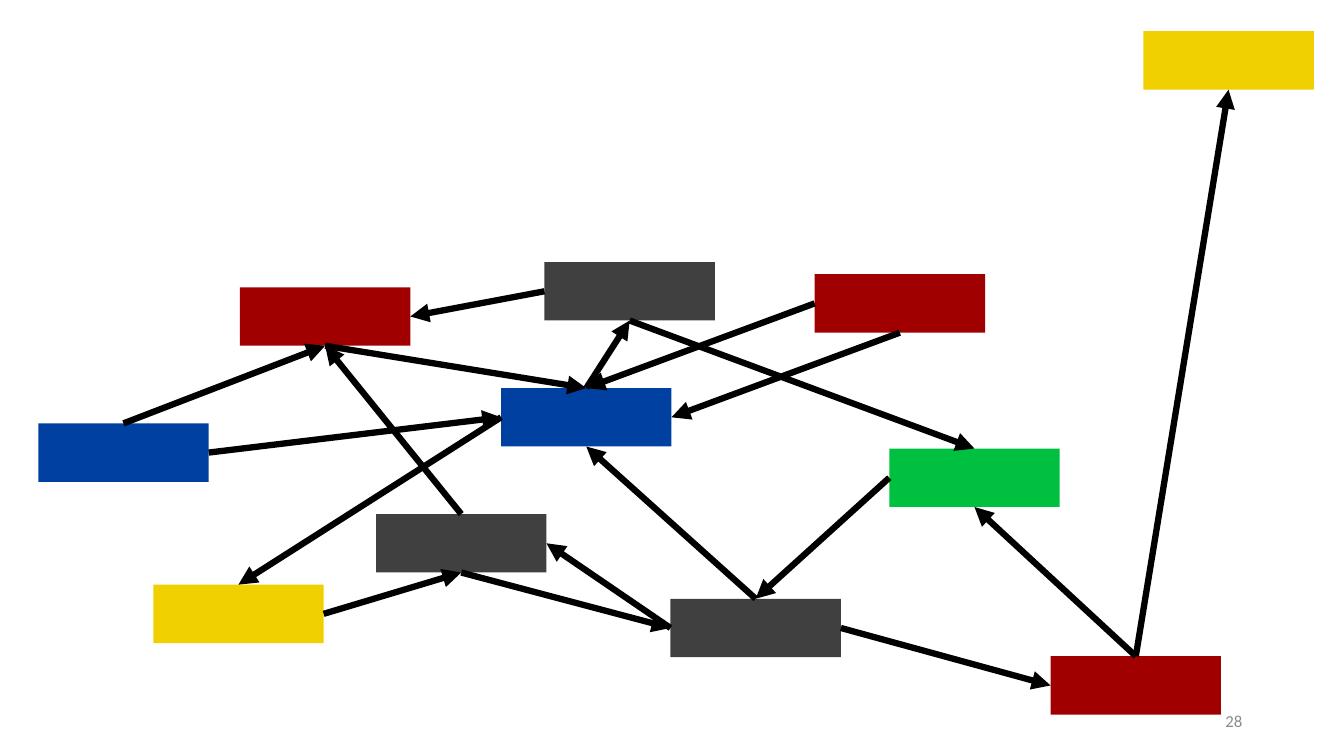
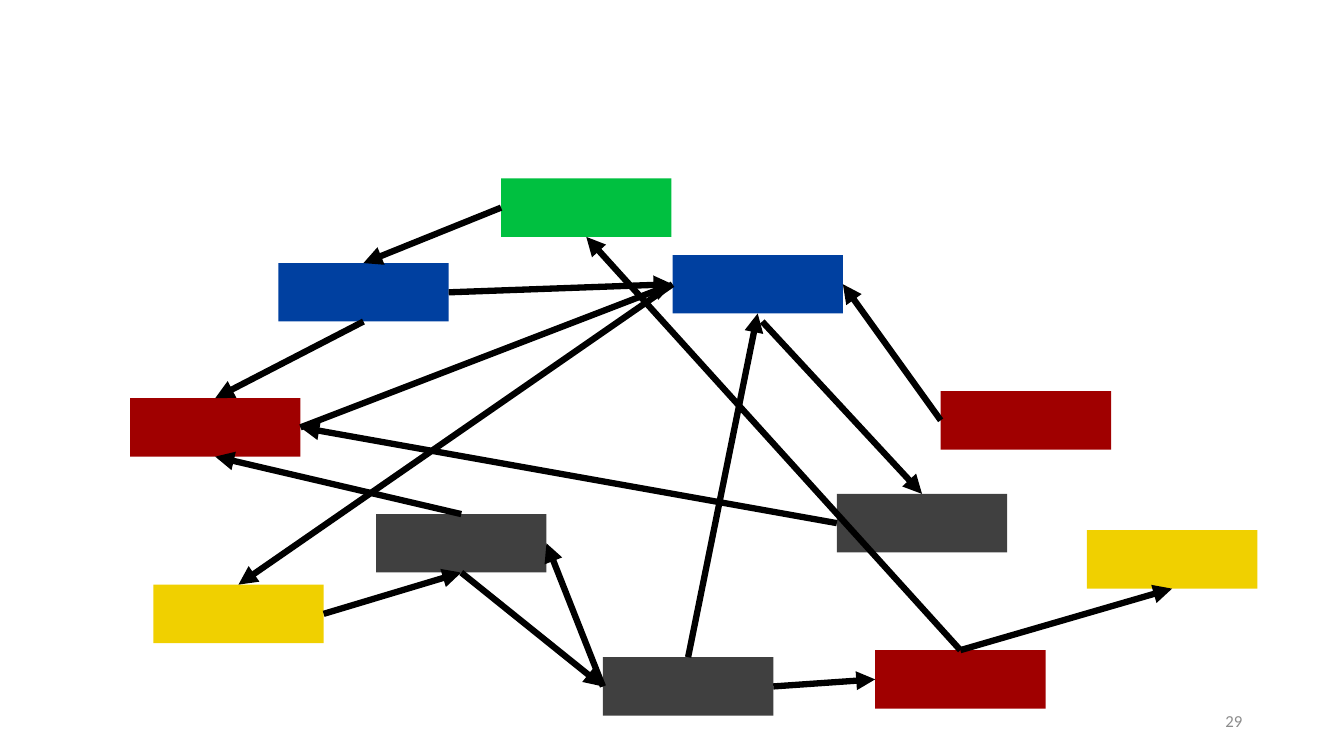
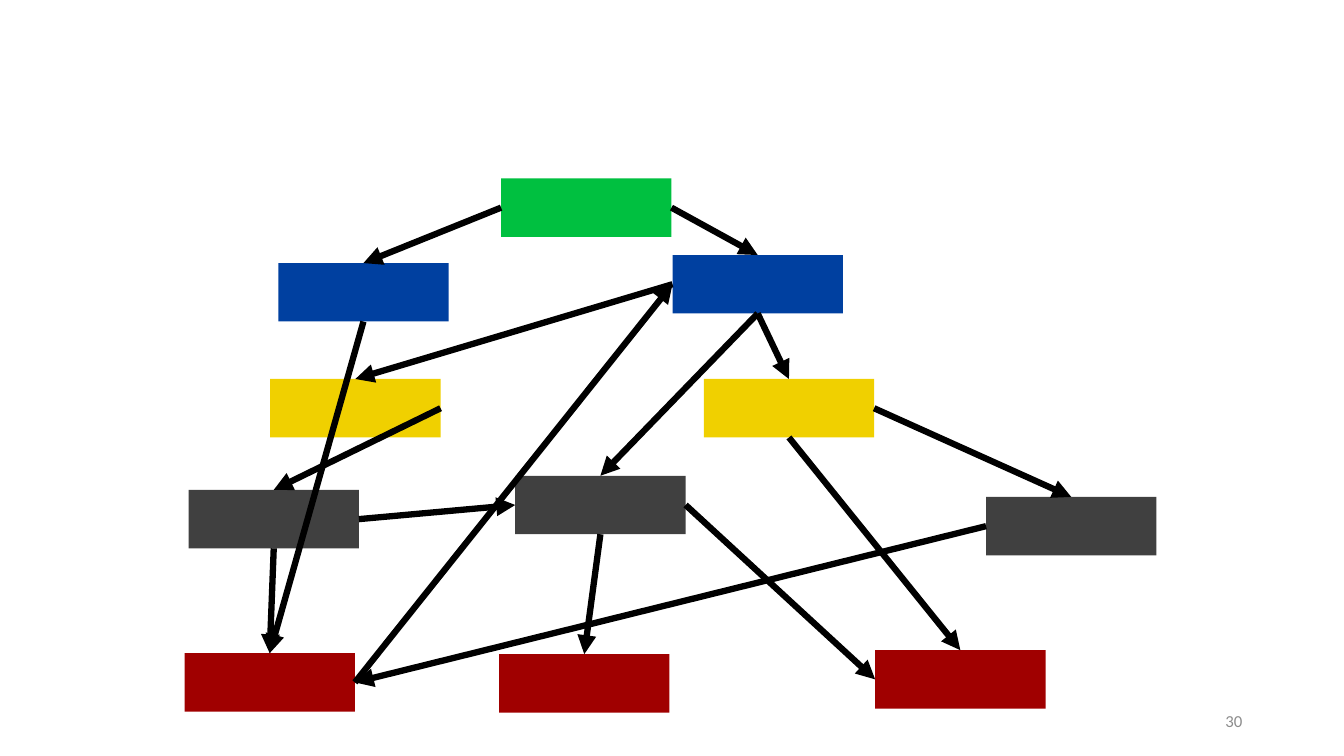
import pptx
import pptx.util
import pptx.dml.color
import pptx.enum.shapes
import pptx.enum.text
import pptx.oxml
import pptx.oxml.ns

SIDES = {"top": 0, "left": 1, "bottom": 2, "right": 3}
FILLS = {"red": "A00000", "yellow": "F0D000", "blue": "0040A0", "green": "00C040", "gray": "404040"}
NAMES = "red1 yellow1 blue1 red2 green1 blue2 yellow2 gray1 gray2 gray3 red3".split()

PAGES = [
    (28, [(238, 285), (152, 580), (497, 385), (1042, 651), (882, 445), (38, 420),
          (1134, 31), (373, 510), (540, 260), (665, 594), (808, 272)], """
        red1 bottom blue1 top
        gray2 bottom green1 top
        blue1 left yellow1 top
        yellow1 right gray1 bottom
        blue2 right blue1 left
        blue2 top red1 bottom
        gray3 top blue1 bottom
        gray1 top red1 bottom
        red3 bottom blue1 right
        red2 top yellow2 bottom
        gray3 left gray1 right
        gray1 bottom gray3 left
        gray2 left red1 right
        red3 left blue1 top
        green1 left gray3 top
        blue1 top gray2 bottom
        red2 top green1 bottom
        gray3 right red2 left"""),
    (29, [(129, 395), (152, 580), (667, 253), (868, 645), (497, 177), (276, 261),
          (1078, 526), (373, 510), (830, 490), (598, 652), (933, 388)], """
        red1 right blue1 left
        blue1 left yellow1 top
        yellow1 right gray1 bottom
        blue2 right blue1 left
        blue2 bottom red1 top
        gray3 top blue1 bottom
        gray1 top red1 bottom
        red2 top yellow2 bottom
        gray3 left gray1 right
        gray1 bottom gray3 left
        gray2 left red1 right
        red3 left blue1 right
        green1 left blue2 top
        756 319 gray2 top
        red2 top green1 bottom
        gray3 right red2 left"""),
    (30, [(183, 648), (268, 376), (667, 253), (868, 645), (497, 177), (276, 261),
          (698, 376), (187, 486), (978, 493), (511, 472), (495, 649)], """
        red1 right blue1 left
        blue1 left yellow1 top
        yellow1 right gray1 top
        green1 right blue1 top
        blue2 bottom red1 top
        blue1 bottom gray3 top
        gray1 bottom red1 top
        blue1 bottom yellow2 top
        yellow2 bottom red2 top
        gray1 right gray3 left
        gray2 left red1 right
        gray3 bottom red3 top
        green1 left blue2 top
        yellow2 right gray2 top
        gray3 right red2 left"""),
]


def px(n):
    return pptx.util.Emu(n * 9144)


def color(hex):
    return pptx.dml.color.RGBColor.from_string(hex)


class Deck:
    font = "Calibri"
    ink = "000000"
    muted = "8C8C8C"
    box_size = (169, 58)

    def __init__(self):
        self.prs = pptx.Presentation()
        self.prs.slide_width = px(1333)
        self.prs.slide_height = px(750)

    def page(self, number):
        self.slide = self.prs.slides.add_slide(self.prs.slide_layouts[6])
        self.boxes = {}
        frame = self.slide.shapes.add_textbox(px(942), px(695), px(300), px(40)).text_frame
        frame.word_wrap = True
        frame.vertical_anchor = pptx.enum.text.MSO_ANCHOR.MIDDLE
        para = frame.paragraphs[0]
        para.text = str(number)
        para.alignment = pptx.enum.text.PP_ALIGN.RIGHT
        para.font.name = self.font
        para.font.size = pptx.util.Pt(12)
        para.font.color.rgb = color(self.muted)

    def box(self, name, x, y):
        wide, high = self.box_size
        box = self.slide.shapes.add_shape(
            pptx.enum.shapes.MSO_SHAPE.RECTANGLE, px(x), px(y), px(wide), px(high))
        box.shadow.inherit = False
        box.fill.solid()
        box.fill.fore_color.rgb = color(FILLS[name[:-1]])
        box.line.fill.background()
        self.boxes[name] = box

    def arrow(self, start, leave, end, enter):
        fixed = start not in self.boxes
        x, y = (int(start), int(leave)) if fixed else (0, 0)
        line = self.slide.shapes.add_connector(
            pptx.enum.shapes.MSO_CONNECTOR.STRAIGHT, px(x), px(y), px(x), px(y))
        if not fixed:
            line.begin_connect(self.boxes[start], SIDES[leave])
        line.end_connect(self.boxes[end], SIDES[enter])
        line.line.width = pptx.util.Pt(4.5)
        line.line.color.rgb = color(self.ink)
        space = pptx.oxml.ns.nsdecls("a")
        line.line._get_or_add_ln().append(
            pptx.oxml.parse_xml(f'<a:tailEnd {space} type="triangle"/>'))
        line._element.spPr.append(pptx.oxml.parse_xml(f"<a:effectLst {space}/>"))


def main():
    deck = Deck()
    for number, spots, links in PAGES:
        deck.page(number)
        for name, (x, y) in zip(NAMES, spots):
            deck.box(name, x, y)
        for link in links.strip().splitlines():
            deck.arrow(*link.split())
    deck.prs.save("out.pptx")


if __name__ == "__main__":
    main()
